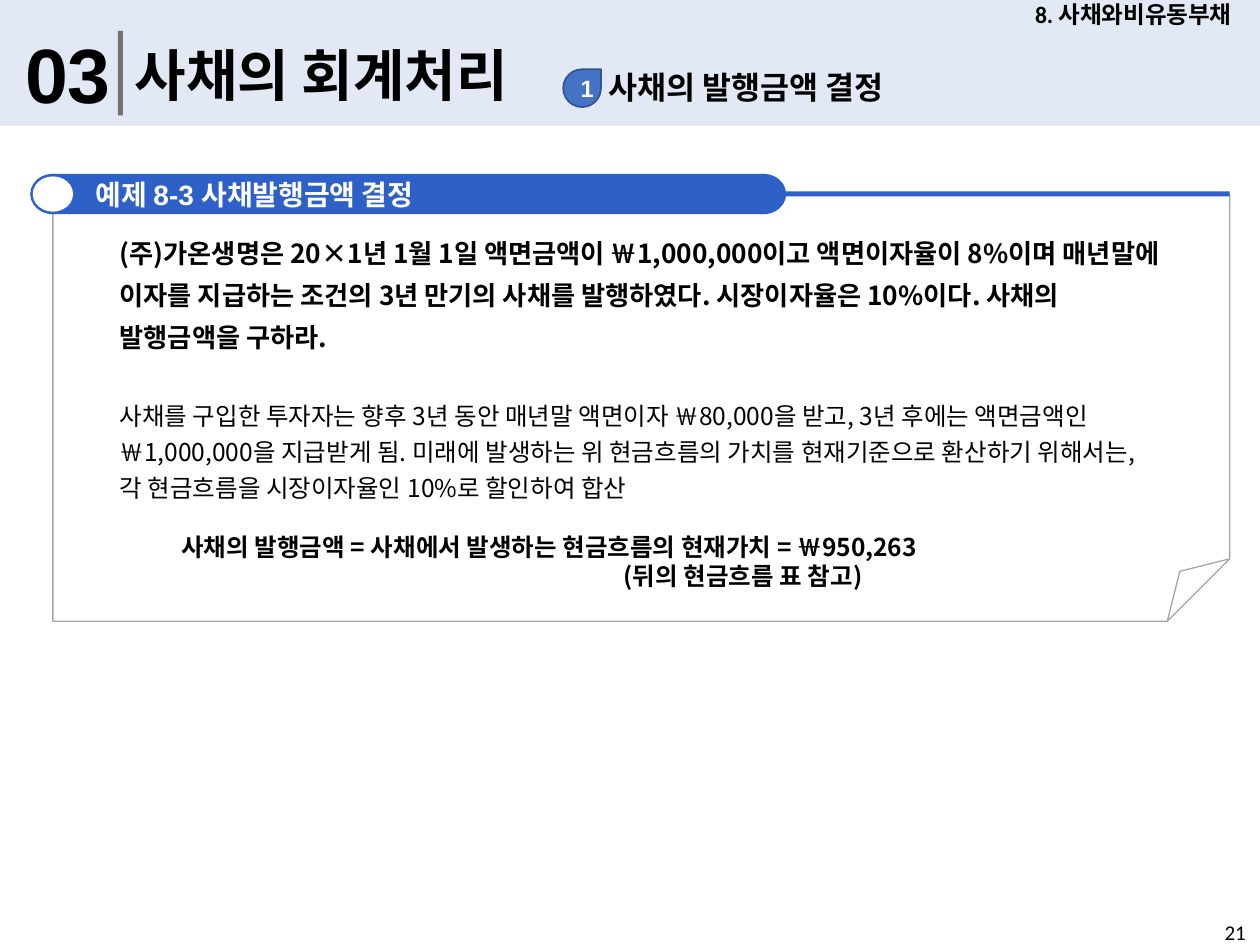
import pptx
import pptx.util
import pptx.dml.color
import pptx.enum.shapes
import pptx.enum.text
import pptx.oxml
import pptx.oxml.ns

Inches = pptx.util.Inches
Pt = pptx.util.Pt
SHAPE = pptx.enum.shapes.MSO_SHAPE
ALIGN = pptx.enum.text.PP_ALIGN
ANCHOR = pptx.enum.text.MSO_ANCHOR
qn = pptx.oxml.ns.qn

COLORS = {
    "band": "DAE3F3",
    "divider": "767171",
    "badge": "4472C4",
    "badge_edge": "325491",
    "ribbon": "2D61C8",
    "note_edge": "A6A6A6",
    "white": "FFFFFF",
    "black": "000000",
}
KOREAN_FONT = "Noto Sans CJK KR"


def color(name):
    return pptx.dml.color.RGBColor.from_string(COLORS[name])


def add_element(parent, tag, **attributes):
    element = parent.makeelement(qn(tag), attributes)
    parent.append(element)
    return element


def add_shape(page, kind, left, top, width, height, fill=None, line=None, line_width=1):
    shape = page.shapes.add_shape(
        kind, Inches(left), Inches(top), Inches(width), Inches(height))
    shape.shadow.inherit = False
    if fill:
        shape.fill.solid()
        shape.fill.fore_color.rgb = color(fill)
    else:
        shape.fill.background()
    if line:
        shape.line.color.rgb = color(line)
        shape.line.width = Pt(line_width)
    else:
        shape.line.fill.background()
    return shape


def set_opacity(shape, percent):
    shade = shape._element.spPr.find(qn("a:solidFill"))[0]
    add_element(shade, "a:alpha", val=str(percent * 1000))


def set_fold(shape, share):
    geometry = shape._element.spPr.find(qn("a:prstGeom"))
    guides = geometry.find(qn("a:avLst"))
    if guides is None:
        guides = add_element(geometry, "a:avLst")
    add_element(guides, "a:gd", name="adj", fmla=f"val {round(share * 100000)}")


def add_span(para, text, size=14, font="Calibri", bold=True, shade="black"):
    span = para.add_run()
    span.text = text
    span.font.size = Pt(size)
    span.font.name = font
    span.font.bold = bold
    span.font.color.rgb = color(shade)
    if font == KOREAN_FONT:
        add_element(span._r.get_or_add_rPr(), "a:ea", typeface=font)


def write(box, text, align=ALIGN.LEFT, anchor=ANCHOR.TOP, margin_left=0.1,
          margin_right=0.1, **style):
    frame = box.text_frame
    frame.word_wrap = True
    frame.vertical_anchor = anchor
    frame.margin_left = Inches(margin_left)
    frame.margin_right = Inches(margin_right)
    para = frame.paragraphs[0]
    para.alignment = align
    add_span(para, text, **style)
    return para


def add_text(page, left, top, width, height, text, **style):
    box = page.shapes.add_textbox(
        Inches(left), Inches(top), Inches(width), Inches(height))
    write(box, text, **style)


def add_header(page):
    band = add_shape(page, SHAPE.RECTANGLE, 0, 0, 10, 1, fill="band")
    set_opacity(band, 76)
    add_text(page, 0.1, 0.16, 0.91, 0.84, "03", size=44, font="Arial")
    divider = add_shape(page, SHAPE.RECTANGLE, 0.62, 0.56, 0.67, 0.04, fill="divider")
    divider.rotation = 270
    add_text(page, 0.97, 0.27, 6.42, 0.64, "사채의 회계처리", size=32)
    add_text(page, 4.73, 0.49, 3.74, 0.4, "사채의 발행금액 결정", size=18)
    badge = add_shape(page, SHAPE.TEAR, 4.47, 0.55, 0.3, 0.3,
                      fill="badge", line="badge_edge")
    write(badge, "1", align=ALIGN.CENTER, anchor=ANCHOR.MIDDLE, margin_left=0.08,
          margin_right=0, size=13.5, font="Arial", shade="white")
    add_text(page, 7.99, 0, 2.01, 0.23, "8. 사채와비유동부채", size=13.5,
             align=ALIGN.CENTER, anchor=ANCHOR.MIDDLE)


def add_note_frame(page):
    note = add_shape(page, SHAPE.FOLDED_CORNER, 0.42, 1.54, 9.34, 3.39,
                     line="note_edge", line_width=0.75)
    set_fold(note, 0.146)
    add_shape(page, SHAPE.RECTANGLE, 0.43, 1.52, 9.33, 0.04, fill="ribbon")
    for left in (0.24, 5.88):
        add_shape(page, SHAPE.OVAL, left, 1.38, 0.36, 0.32, fill="ribbon")
    ribbon = add_shape(page, SHAPE.RECTANGLE, 0.41, 1.38, 5.65, 0.32, fill="ribbon")
    para = write(ribbon, "예제 ", anchor=ANCHOR.MIDDLE, margin_left=0.35,
                 size=16, shade="white")
    add_span(para, "8-3 ", size=16, font="Arial", shade="white")
    add_span(para, "사채발행금액 결정", size=16, shade="white")
    add_shape(page, SHAPE.OVAL, 0.26, 1.4, 0.32, 0.28, fill="white")


def add_example(page):
    box = page.shapes.add_textbox(Inches(0.84), Inches(1.75), Inches(8.5), Inches(1.23))
    frame = box.text_frame
    frame.word_wrap = True
    frame.margin_left = frame.margin_right = Inches(0.11)
    paragraphs = [
        ("(주)가온생명은 20×1년 1월 1일 액면금액이 ￦1,000,000이고 액면이자율이 8%이며 "
         "매년말에 이자를 지급하는 조건의 3년 만기의 사채를 발행하였다. "
         "시장이자율은 10%이다. 사채의 발행금액을 구하라.", 15, True, 24, 0, 0),
        ("사채를 구입한 투자자는 향후 3년 동안 매년말 액면이자 ￦80,000을 받고, "
         "3년 후에는 액면금액인 ￦1,000,000을 지급받게 됨. 미래에 발생하는 위 "
         "현금흐름의 가치를 현재기준으로 환산하기 위해서는, 각 현금흐름을 "
         "시장이자율인 10%로 할인하여 합산", 14, False, 20.5, 24, 0),
        ("사채의 발행금액 = 사채에서 발생하는 현금흐름의 현재가치 = ￦950,263",
         14, True, 17, 16.5, 0.49),
        ("(뒤의 현금흐름 표 참고)", 14, True, 17, 0, 4),
    ]
    for index, (text, size, bold, spacing, before, indent) in enumerate(paragraphs):
        para = frame.add_paragraph() if index else frame.paragraphs[0]
        para.line_spacing = Pt(spacing)
        if before:
            para.space_before = Pt(before)
        if indent:
            para._p.get_or_add_pPr().set("marL", str(Inches(indent)))
        add_span(para, text, size=size, bold=bold, font=KOREAN_FONT)


def main():
    deck = pptx.Presentation()
    deck.slide_width = Inches(10)
    deck.slide_height = Inches(7.5)
    page = deck.slides.add_slide(deck.slide_layouts[6])
    add_header(page)
    add_note_frame(page)
    add_example(page)
    add_text(page, 9.62, 7.25, 2.25, 0.4, "21", size=12, bold=False)
    deck.save("out.pptx")


if __name__ == "__main__":
    main()
